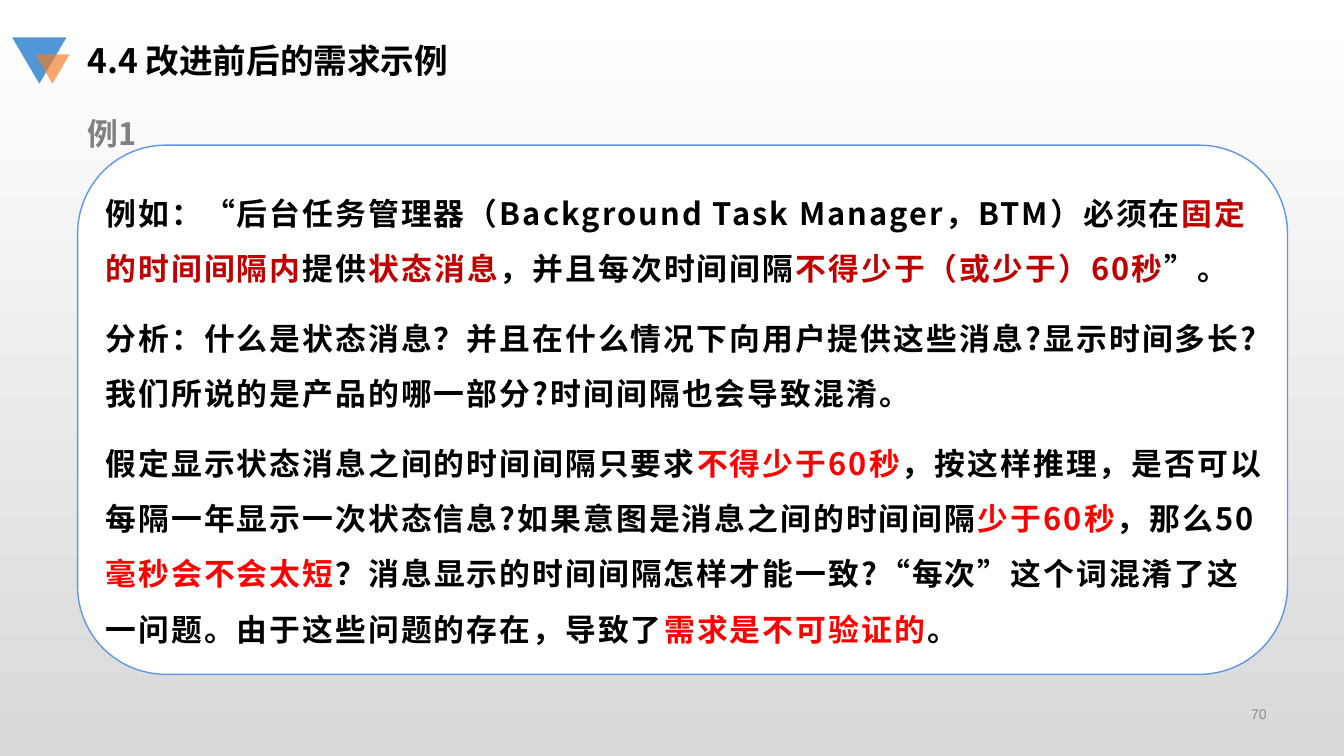
from lxml import etree
from pptx import Presentation
from pptx.dml.color import RGBColor
from pptx.enum.shapes import MSO_SHAPE as Shape
from pptx.enum.text import MSO_ANCHOR as Anchor, PP_ALIGN as Align
from pptx.oxml.ns import qn
from pptx.util import Inches, Pt

CJK = "Noto Sans CJK SC"
BLACK, DARK, RED = "000000", "C00000", "FF0000"

# Each paragraph is a list of (text, colour)
BODY = [
    [("例如：“后台任务管理器（Background Task Manager，BTM）必须在", BLACK),
     ("固定的时间间隔内", DARK), ("提供", BLACK), ("状态消息", DARK),
     ("，并且每次时间间隔", BLACK), ("不得少于（或少于）60秒", DARK),
     ("”。", BLACK)],
    [("分析：什么是状态消息？并且在什么情况下向用户提供这些消息?显示时间多长?"
      "我们所说的是产品的哪一部分?时间间隔也会导致混淆。", BLACK)],
    [("假定显示状态消息之间的时间间隔只要求", BLACK), ("不得少于60秒", RED),
     ("，按这样推理，是否可以每隔一年显示一次状态信息?"
      "如果意图是消息之间的时间间隔", BLACK),
     ("少于60秒", RED), ("，那么50", BLACK), ("毫秒会不会太短", RED),
     ("？消息显示的时间间隔怎样才能一致?“每次”这个词混淆了这一问题。"
      "由于这些问题的存在，导致了", BLACK),
     ("需求是不可验证的", RED), ("。", BLACK)],
]


def color(code):
    return RGBColor.from_string(code)


def style(run, size, code, font=CJK, bold=True):
    run.font.size = Pt(size)
    run.font.bold = bold
    run.font.name = font
    run.font.color.rgb = color(code)
    east = etree.SubElement(run.font._element, qn("a:ea"))
    east.set("typeface", font)


def add_box(slide, left, top, width, height):
    box = slide.shapes.add_textbox(*map(Inches, (left, top, width, height)))
    box.text_frame.word_wrap = True
    return box.text_frame


def add_label(slide, text, box, size, code, **look):
    frame = add_box(slide, *box)
    frame.text = text
    style(frame.paragraphs[0].runs[0], size, code, **look)
    return frame


def add_form(shapes, kind, box, fill):
    form = shapes.add_shape(kind, *map(Inches, box))
    form.shadow.inherit = False
    form.fill.solid()
    form.fill.fore_color.rgb = color(fill)
    form.line.fill.background()
    return form


def paint_back(slide):
    fill = slide.background.fill
    fill.gradient()
    fill.gradient_angle = 270
    for stop, (place, code) in zip(fill.gradient_stops,
                                   [(0, "FFFFFF"), (1, "D9D9D9")]):
        stop.position = place
        stop.color.rgb = color(code)


def add_mark(slide, left, top):
    group = slide.shapes.add_group_shape()
    big = add_form(group.shapes, Shape.ISOSCELES_TRIANGLE,
                   (left, top, 0.54, 0.46), "5197D7")
    small = add_form(group.shapes, Shape.ISOSCELES_TRIANGLE,
                     (left + 0.23, top + 0.17, 0.34, 0.29), "F37D2A")
    big.rotation = small.rotation = 180
    # Let the large triangle show through
    tint = small.fill._xPr.find(".//" + qn("a:srgbClr"))
    etree.SubElement(tint, qn("a:alpha")).set("val", "68000")


def add_panel(slide, left, top, width, height):
    card = add_form(slide.shapes, Shape.ROUNDED_RECTANGLE,
                    (left, top, width, height), "FFFFFF")
    card.line.color.rgb = color("6096E6")
    card.line.width = Pt(1)

    frame = add_box(slide, left + 0.18, top + 0.26, width - 0.29, height - 0.47)
    for i, parts in enumerate(BODY):
        para = frame.add_paragraph() if i else frame.paragraphs[0]
        para.line_spacing = 1.5
        para.space_after = Pt(10)
        for text, code in parts:
            run = para.add_run()
            run.text = text
            style(run, 22, code)
            run.font._element.set("spc", "150")


def add_number(slide, text, box):
    frame = add_label(slide, text, box, 10, "8C8C8C", font="Arial", bold=False)
    frame.vertical_anchor = Anchor.MIDDLE
    frame.paragraphs[0].alignment = Align.RIGHT


def main():
    deck = Presentation()
    deck.slide_width, deck.slide_height = Inches(13.33), Inches(7.5)
    slide = deck.slides.add_slide(deck.slide_layouts[6])
    paint_back(slide)
    add_panel(slide, 0.77, 1.44, 12, 5.25)
    add_mark(slide, 0.12, 0.37)
    add_label(slide, "4.4 改进前后的需求示例", (0.77, 0.35, 9.66, 0.5), 24, BLACK)
    add_label(slide, "例1", (0.77, 1.09, 10.44, 0.47), 22, "808080")
    add_number(slide, "70", (9.71, 6.91, 2.95, 0.35))
    deck.save("out.pptx")


if __name__ == "__main__":
    main()
